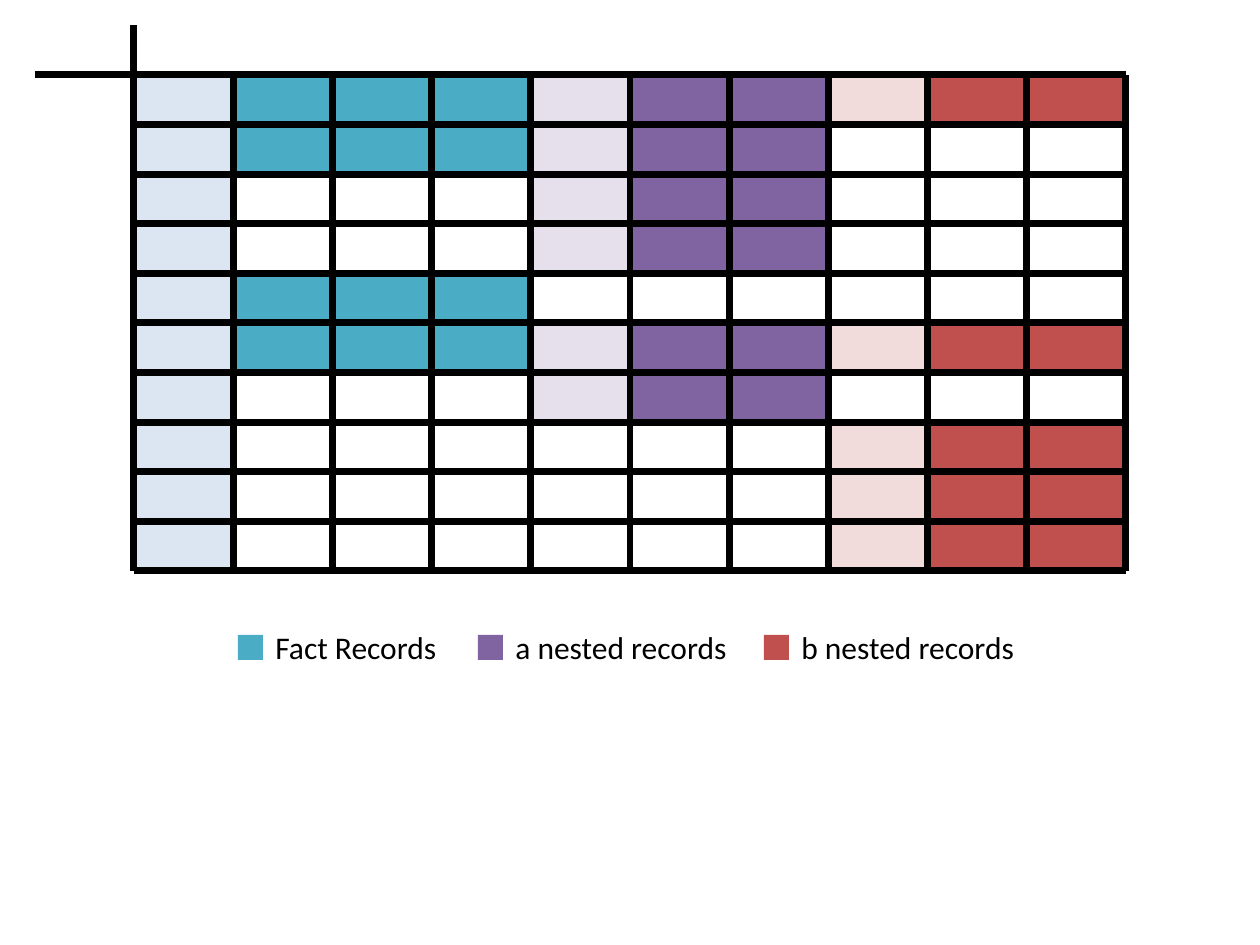
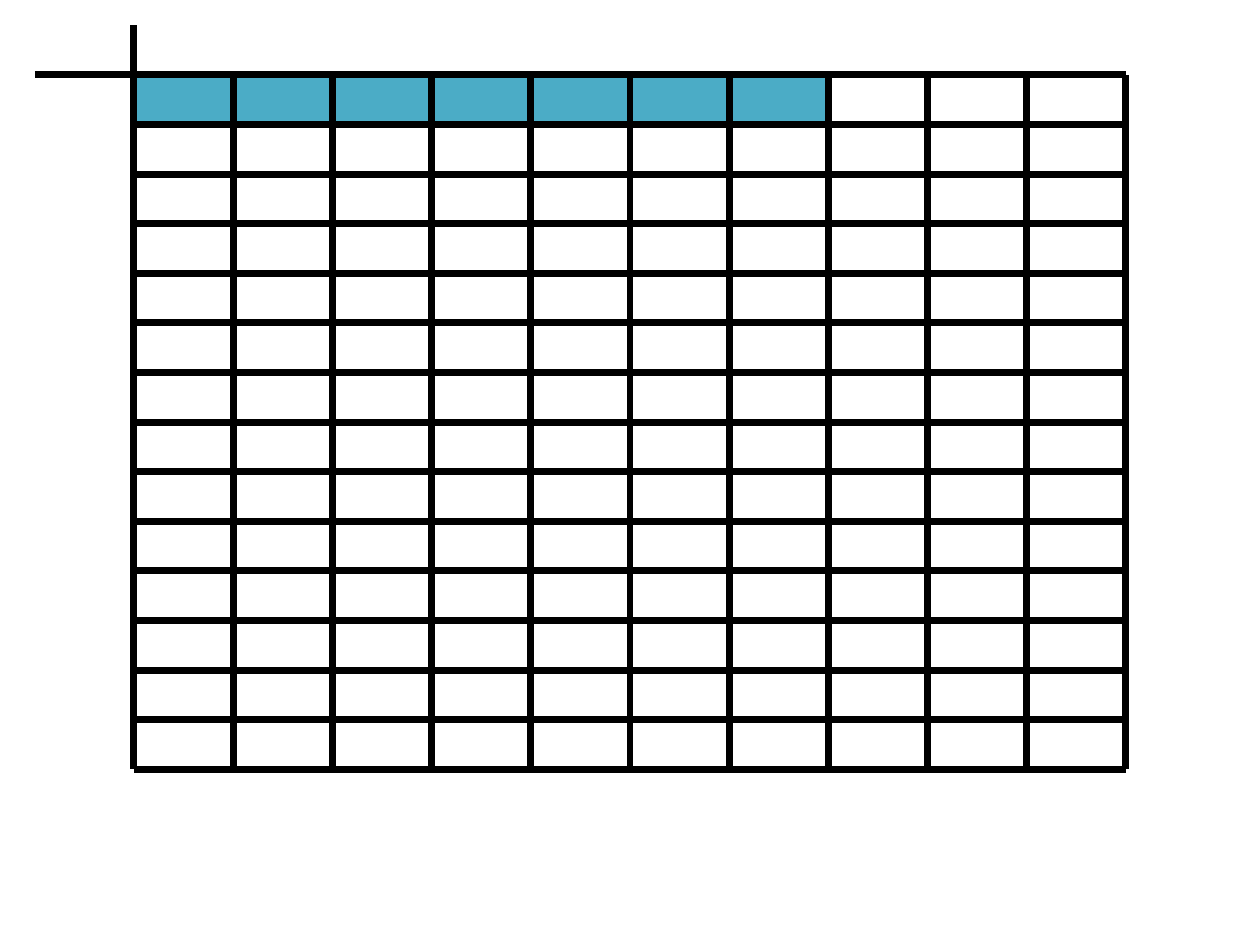
from dataclasses import dataclass
from lxml.etree import SubElement
from pptx import Presentation
from pptx.dml.color import RGBColor as RGB
from pptx.enum.shapes import MSO_CONNECTOR as CONN, MSO_SHAPE as SHAPE
from pptx.enum.text import MSO_AUTO_SIZE as FIT
from pptx.oxml.ns import qn
from pptx.util import Pt

PX = 914400 / 126  # EMU in one pixel
COLS = 10
ROW_H = 49.6


@dataclass(frozen=True)
class Theme:
    """Colours, font and sizes shared by both slides."""
    ink: RGB = RGB(0, 0, 0)
    key: RGB = RGB.from_string("DCE6F2")
    fact: RGB = RGB.from_string("4BACC6")
    a: RGB = RGB.from_string("8064A2")
    a_pale: RGB = RGB.from_string("E6E0EC")
    b: RGB = RGB.from_string("C0504D")
    b_pale: RGB = RGB.from_string("F2DCDB")
    font: str = "Calibri"
    text_size: Pt = Pt(18)
    line_width: Pt = Pt(4)


T = Theme()


def emu(*lengths):
    """Turn pixel lengths into EMU."""
    return [round(v * PX) for v in lengths]


def add_rect(s, box, colour):
    """Add a plain filled rectangle without outline."""
    sp = s.shapes.add_shape(SHAPE.RECTANGLE, *emu(*box))
    sp.shadow.inherit = False
    sp.fill.solid()
    sp.fill.fore_color.rgb = colour
    sp.line.fill.background()


def add_line(s, x1, y1, x2, y2):
    """Add one black grid line."""
    cx = s.shapes.add_connector(CONN.STRAIGHT, *emu(x1, y1, x2, y2))
    cx.line.color.rgb = T.ink
    cx.line.width = T.line_width
    SubElement(cx._element.spPr, qn("a:effectLst"))


def add_grid(s, box, rows, blocks):
    """Draw coloured blocks (row, col, rows, cols, colour) under a ruled grid.

    The first line each way reaches one cell past the top left corner.
    """
    x, y, w, h = box
    cw, ch = w / COLS, h / rows
    for row, col, n_rows, n_cols, colour in blocks:
        add_rect(s, (x + col * cw, y + row * ch, n_cols * cw, n_rows * ch), colour)
    for i in range(COLS + 1):
        add_line(s, x + i * cw, y if i else y - ch, x + i * cw, y + h)
    for i in range(rows + 1):
        add_line(s, x if i else x - cw, y + i * ch, x + w, y + i * ch)


def add_legend(s, box, items):
    """Place swatches and labels (offset, label width, label, colour) in a row."""
    x, y, _, h = box
    swatch = 25
    for dx, width, label, colour in items:
        add_rect(s, (x + dx, y + (h - swatch) / 2, swatch, swatch), colour)
        tf = s.shapes.add_textbox(*emu(x + dx + swatch, y, width, h)).text_frame
        tf.word_wrap = False
        tf.auto_size = FIT.SHAPE_TO_FIT_TEXT
        r = tf.paragraphs[0].add_run()
        r.text = label
        for name, value in {"name": T.font, "size": T.text_size}.items():
            setattr(r.font, name, value)
        r.font.color.rgb = T.ink


def add_grid_slide(prs, rows, blocks):
    """Add a blank slide with the grid in its common place."""
    s = prs.slides.add_slide(prs.slide_layouts[6])
    add_grid(s, (134, 75, 992, rows * ROW_H), rows, blocks)
    return s


def nested(col, spans, colour, pale):
    """Blocks three columns wide with a pale first column, per (row, rows)."""
    return [(row, col, n, n_cols, c) for row, n in spans
            for n_cols, c in ((3, colour), (1, pale))]


prs = Presentation()
prs.slide_width, prs.slide_height = emu(1260, 945)

RECORDS = [
    *nested(7, [(7, 3), (5, 1), (0, 1)], T.b, T.b_pale),
    *nested(4, [(5, 2), (0, 4)], T.a, T.a_pale),
    *[(row, 0, 1, 4, T.fact) for row in (4, 5, 1, 0)],
    (0, 0, 10, 1, T.key),
]
s = add_grid_slide(prs, 10, RECORDS)
add_legend(s, (238, 622, 792, 51), [
    (0, 188, "Fact Records", T.fact),
    (240, 240, "a nested records", T.a),
    (526, 240, "b nested records", T.b),
])

add_grid_slide(prs, 14, [(0, 0, 1, 7, T.fact)])

prs.save("out.pptx")
